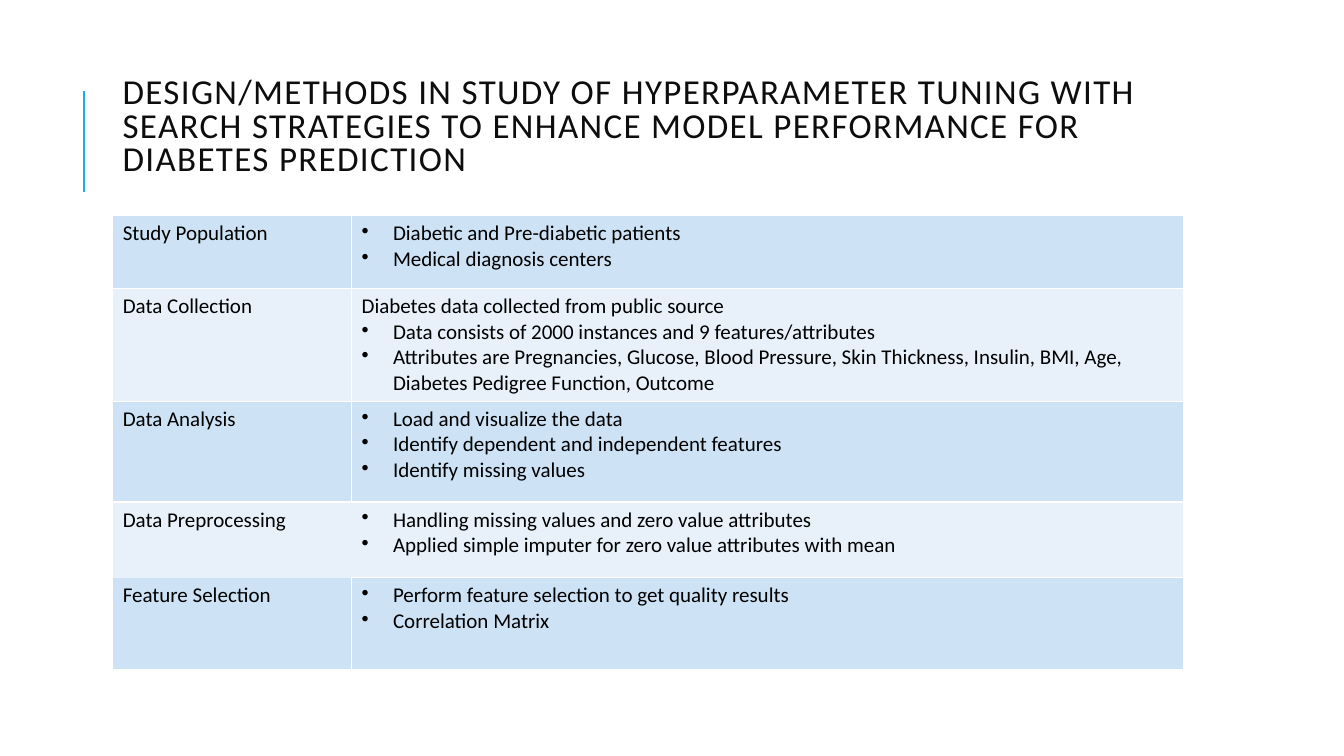
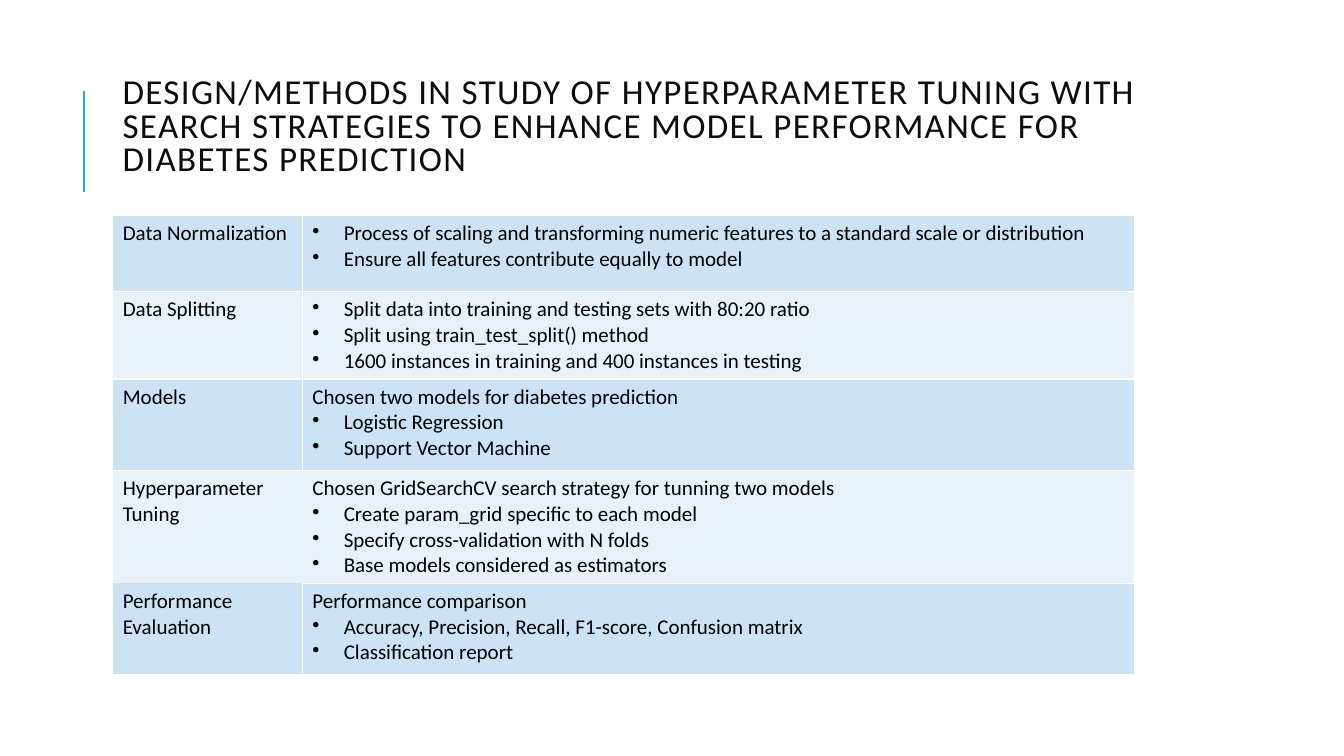
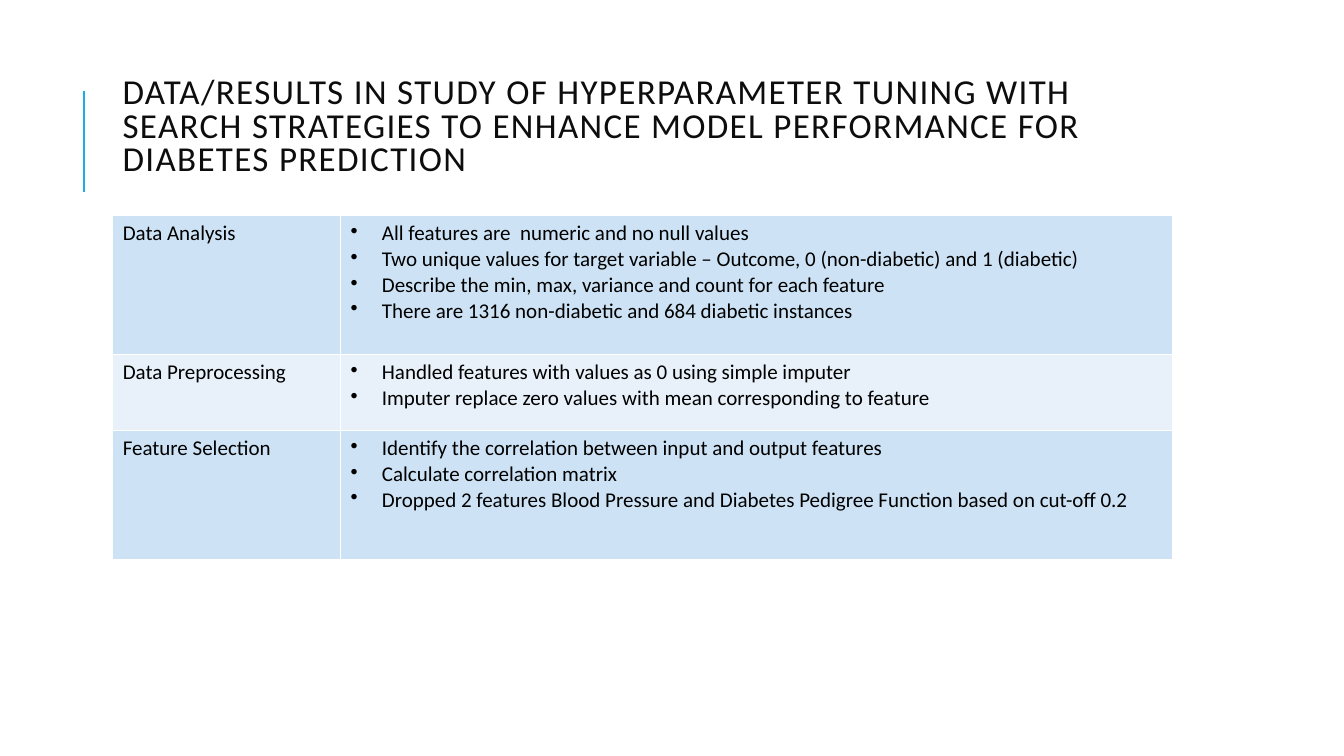
from dataclasses import dataclass

from lxml.etree import SubElement
from pptx import Presentation
from pptx.dml.color import RGBColor
from pptx.enum.shapes import MSO_CONNECTOR
from pptx.enum.text import MSO_ANCHOR
from pptx.oxml import parse_xml
from pptx.oxml.ns import nsdecls, qn
from pptx.util import Cm, Pt


@dataclass(frozen=True)
class Theme:
    font: str = "Calibri"
    title_size: float = 25
    body_size: float = 15
    title: str = "0D0D0D"
    body: str = "000000"
    accent: str = "1CADE4"
    border: str = "FFFFFF"
    bands: tuple[str, str] = ("CDE3F5", "E8F1FA")
    accent_width: float = 1.5
    border_width: float = 1


@dataclass(frozen=True)
class Row:
    label: str
    height: float
    bullets: tuple[str, ...]
    lead: str = ""
    open_label: bool = False  # label cell without borders


@dataclass(frozen=True)
class TableSlide:
    topic: str
    label_width: float
    rows: tuple[Row, ...]


THEME = Theme()
LEFT = 2.84
TITLE_TOP, TITLE_WIDTH, TITLE_HEIGHT = 1.63, 27, 3.2
ACCENT_X, ACCENT_TOP, ACCENT_BOTTOM = 2.11, 2.29, 4.83
TABLE_TOP, DETAIL_WIDTH, BULLET_INDENT = 5.44, 20.98, 0.79
NO_STYLE = "{2D5ABB26-0587-4C30-8999-92F81FD0307C}"
STUDY = ("IN STUDY OF HYPERPARAMETER TUNING WITH SEARCH STRATEGIES "
         "TO ENHANCE MODEL PERFORMANCE FOR DIABETES PREDICTION")

SLIDES = (
    TableSlide("DESIGN/METHODS", 6.02, (
        Row("Study Population", 1.83, (
            "Diabetic and Pre-diabetic patients",
            "Medical diagnosis centers")),
        Row("Data Collection", 2.84, (
            "Data consists of 2000 instances and 9 features/attributes",
            "Attributes are Pregnancies, Glucose, Blood Pressure, Skin Thickness, "
            "Insulin, BMI, Age, Diabetes Pedigree Function, Outcome"),
            lead="Diabetes data collected from public source"),
        Row("Data Analysis", 2.54, (
            "Load and visualize the data",
            "Identify dependent and independent features",
            "Identify missing values")),
        Row("Data Preprocessing", 1.91, (
            "Handling missing values and zero value attributes",
            "Applied simple imputer for zero value attributes with mean"),
            open_label=True),
        Row("Feature Selection", 2.31, (
            "Perform feature selection to get quality results",
            "Correlation Matrix")),
    )),
    TableSlide("DESIGN/METHODS", 4.78, (
        Row("Data Normalization", 1.91, (
            "Process of scaling and transforming numeric features to a standard "
            "scale or distribution",
            "Ensure all features contribute equally to model")),
        Row("Data Splitting", 2.2, (
            "Split data into training and testing sets with 80:20 ratio",
            "Split using train_test_split() method",
            "1600 instances in training and 400 instances in testing")),
        Row("Models", 2.31, (
            "Logistic Regression",
            "Support Vector Machine"),
            lead="Chosen two models for diabetes prediction"),
        Row("Hyperparameter Tuning", 2.84, (
            "Create param_grid specific to each model",
            "Specify cross-validation with N folds",
            "Base models considered as estimators"),
            lead="Chosen GridSearchCV search strategy for tunning two models",
            open_label=True),
        Row("Performance Evaluation", 2.31, (
            "Accuracy, Precision, Recall, F1-score, Confusion matrix",
            "Classification report"),
            lead="Performance comparison"),
    )),
    TableSlide("DATA/RESULTS", 5.74, (
        Row("Data Analysis", 3.5, (
            "All features are  numeric and no null values",
            "Two unique values for target variable – Outcome, 0 (non-diabetic) "
            "and 1 (diabetic)",
            "Describe the min, max, variance and count for each feature",
            "There are 1316 non-diabetic and 684 diabetic instances")),
        Row("Data Preprocessing", 1.91, (
            "Handled features with values as 0 using simple imputer",
            "Imputer replace zero values with mean corresponding to feature")),
        Row("Feature Selection", 3.25, (
            "Identify the correlation between input and output features",
            "Calculate correlation matrix",
            "Dropped 2 features Blood Pressure and Diabetes Pedigree Function "
            "based on cut-off 0.2")),
    )),
)


def write(p, text: str, *, size: float = THEME.body_size, color: str = THEME.body,
          bullet: bool = False, tracking: float = 0,
          line_spacing: float | None = None) -> None:
    r = p.add_run()
    r.text = text
    r.font.name = THEME.font
    r.font.size = Pt(size)
    r.font.color.rgb = RGBColor.from_string(color)
    if tracking:
        r.font._element.set("spc", str(round(tracking * 100)))
    if line_spacing:
        p.line_spacing = line_spacing
    if bullet:
        pPr = p._p.get_or_add_pPr()
        pPr.set("marL", str(Cm(BULLET_INDENT)))
        pPr.set("indent", str(-Cm(BULLET_INDENT)))
        SubElement(pPr, qn("a:buChar"), char="•")


def add_title(s, text: str) -> None:
    """Draw the accent rule and the title beside it."""
    rule = s.shapes.add_connector(MSO_CONNECTOR.STRAIGHT, Cm(ACCENT_X),
                                  Cm(ACCENT_BOTTOM), Cm(ACCENT_X), Cm(ACCENT_TOP))
    rule.line.color.rgb = RGBColor.from_string(THEME.accent)
    rule.line.width = Pt(THEME.accent_width)
    SubElement(rule._element.spPr, qn("a:effectLst"))
    sp = s.shapes.add_textbox(Cm(LEFT), Cm(TITLE_TOP), Cm(TITLE_WIDTH), Cm(TITLE_HEIGHT))
    tf = sp.text_frame
    tf.word_wrap = True
    tf.vertical_anchor = MSO_ANCHOR.MIDDLE
    write(tf.paragraphs[0], text, size=THEME.title_size, color=THEME.title,
          tracking=1, line_spacing=0.8)


def set_borders(cell, sides: str) -> None:
    """Give the cell borders on the sides named by letters of LRTB."""
    tcPr = cell._tc.get_or_add_tcPr()
    drawn = [side for side in "LRTB" if side in sides]
    for i, side in enumerate(drawn):
        tcPr.insert(i, parse_xml(
            f'<a:ln{side} {nsdecls("a")} w="{Pt(THEME.border_width)}"><a:solidFill>'
            f'<a:srgbClr val="{THEME.border}"/></a:solidFill></a:ln{side}>'))


def label_borders(rows: tuple[Row, ...], i: int) -> str:
    """Leave out the sides that touch an open label."""
    if rows[i].open_label:
        return ""
    above = i > 0 and rows[i - 1].open_label
    below = i + 1 < len(rows) and rows[i + 1].open_label
    return "LR" + ("" if above else "T") + ("" if below else "B")


def add_method_table(s, content: TableSlide) -> None:
    rows = content.rows
    widths = (content.label_width, DETAIL_WIDTH)
    table = s.shapes.add_table(len(rows), len(widths), Cm(LEFT), Cm(TABLE_TOP),
                               Cm(sum(widths)), Cm(sum(r.height for r in rows))).table
    table.first_row = table.horz_banding = False
    table._tbl.tblPr.find(qn("a:tableStyleId")).text = NO_STYLE
    for column, width in zip(table.columns, widths):
        column.width = Cm(width)
    for i, row in enumerate(rows):
        table.rows[i].height = Cm(row.height)
        label, detail = table.cell(i, 0), table.cell(i, 1)
        for cell in (label, detail):
            cell.fill.solid()
            cell.fill.fore_color.rgb = RGBColor.from_string(THEME.bands[i % 2])
        set_borders(label, label_borders(rows, i))
        set_borders(detail, "RTB" if row.open_label else "LRTB")
        write(label.text_frame.paragraphs[0], row.label)
        lines = [(row.lead, False)] if row.lead else []
        lines += [(text, True) for text in row.bullets]
        tf = detail.text_frame
        for n, (text, bullet) in enumerate(lines):
            write(tf.add_paragraph() if n else tf.paragraphs[0], text, bullet=bullet)


def main() -> None:
    prs = Presentation()
    prs.slide_width, prs.slide_height = Cm(33.87), Cm(19.05)
    for content in SLIDES:
        s = prs.slides.add_slide(prs.slide_layouts[6])
        add_title(s, f"{content.topic} {STUDY}")
        add_method_table(s, content)
    prs.save("out.pptx")


if __name__ == "__main__":
    main()
